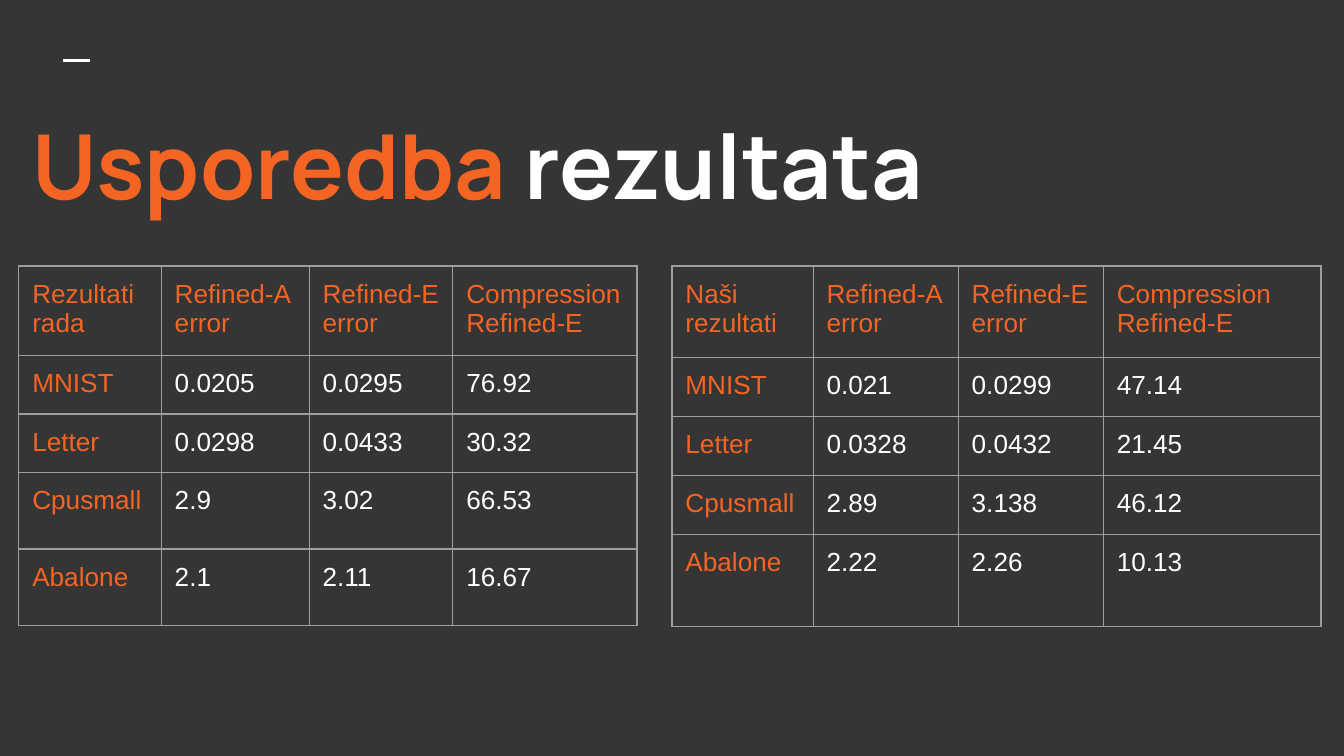
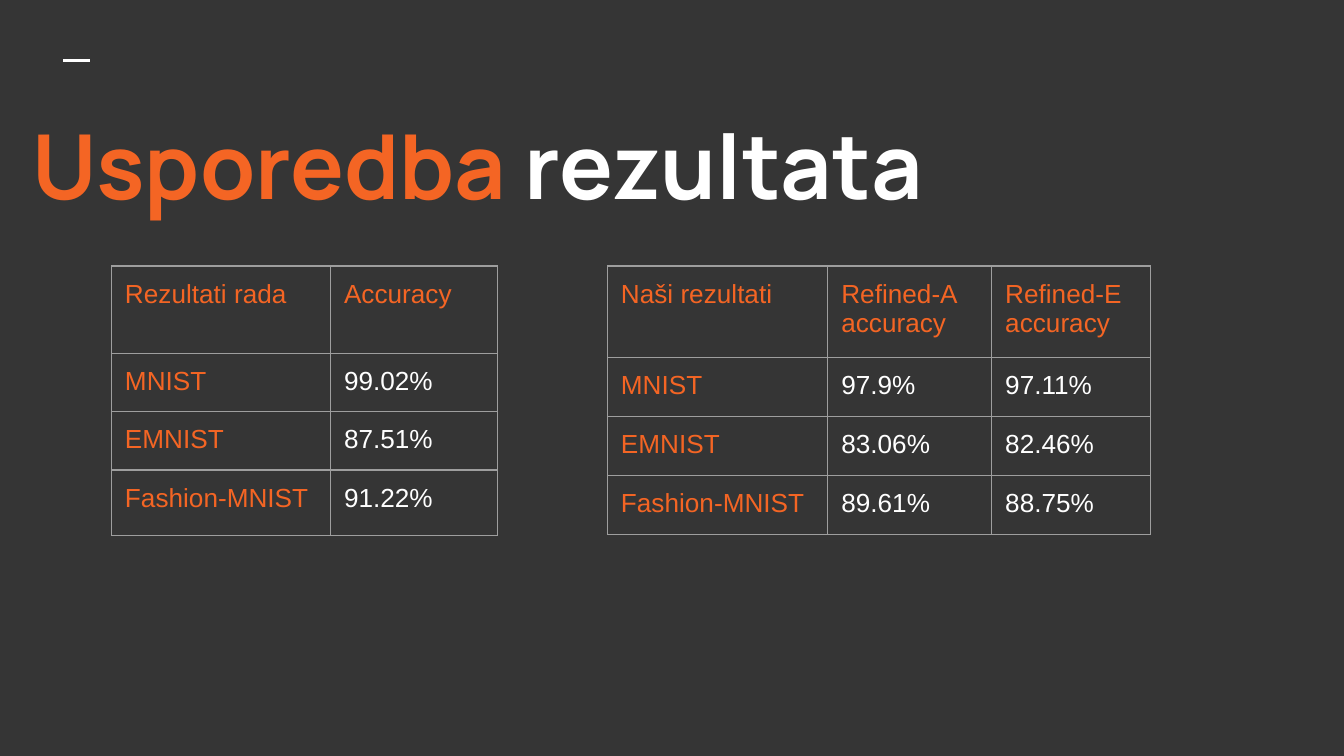
from dataclasses import dataclass

from lxml.etree import SubElement
from pptx import Presentation
from pptx.dml.color import RGBColor
from pptx.enum.shapes import MSO_CONNECTOR
from pptx.oxml.ns import qn
from pptx.util import Inches, Pt


@dataclass(frozen=True)
class Theme:
    back: str = "353535"
    accent: str = "F46524"
    text: str = "FFFFFF"
    grid: str = "9E9E9E"
    head: str = "Manrope"
    body: str = "Arial"
    big: float = 48
    small: float = 14
    rule: float = 1.5
    edge: float = 0.75
    pad: float = 0.1


THEME = Theme()
TOP = 1.98  # shared top of all tables
FRAME = 3.28  # shared frame side of all tables


def color(code):
    return RGBColor.from_string(code)


def style(run, font, size, code, bold=False):
    run.font.name = font
    run.font.size = Pt(size)
    run.font.bold = bold
    run.font.color.rgb = color(code)


def set_pad(box):
    box.margin_left = box.margin_right = Inches(THEME.pad)
    box.margin_top = box.margin_bottom = Inches(THEME.pad)


# Short rule above the title
def add_rule(slide):
    line = slide.shapes.add_connector(
        MSO_CONNECTOR.STRAIGHT,
        Inches(0.47), Inches(0.45), Inches(0.67), Inches(0.45))
    line.line.color.rgb = color(THEME.text)
    line.line.width = Pt(THEME.rule)
    SubElement(line._element.spPr, qn("a:effectLst"))


# Title in two colours
def add_title(slide, first, rest):
    box = slide.shapes.add_textbox(
        Inches(0.14), Inches(0.72), Inches(9.44), Inches(4.19))
    frame = box.text_frame
    frame.word_wrap = True
    set_pad(frame)
    for text, code in ((first + " ", THEME.accent), (rest, THEME.text)):
        run = frame.paragraphs[0].add_run()
        run.text = text
        style(run, THEME.head, THEME.big, code, bold=True)


def add_edges(cell):
    props = cell._tc.get_or_add_tcPr()
    for side in ("lnL", "lnR", "lnT", "lnB"):
        edge = SubElement(props, qn("a:" + side), w=str(Pt(THEME.edge)))
        fill = SubElement(edge, qn("a:solidFill"))
        SubElement(fill, qn("a:srgbClr"), val=THEME.grid)


def fill_cell(cell, text, code):
    set_pad(cell)
    add_edges(cell)
    cell.fill.background()
    cell.text_frame.text = text
    style(cell.text_frame.paragraphs[0].runs[0],
          THEME.body, THEME.small, code)


# Table with accented first row and first column
def add_grid(slide, left, widths, heights, data):
    frame = slide.shapes.add_table(
        len(heights), len(widths), Inches(left), Inches(TOP),
        Inches(FRAME), Inches(FRAME))
    table = frame.table
    table.first_row = table.horz_banding = False
    for col, width in zip(table.columns, widths):
        col.width = Inches(width)
    for row, height in zip(table.rows, heights):
        row.height = Inches(height)
    # Row and column changes resize the frame, so set it again
    frame.width = frame.height = Inches(FRAME)
    for i, line in enumerate(data):
        for j, text in enumerate(line):
            label = i == 0 or j == 0
            fill_cell(table.cell(i, j), text,
                      THEME.accent if label else THEME.text)


def add_slide(deck):
    slide = deck.slides.add_slide(deck.slide_layouts[6])
    slide.background.fill.solid()
    slide.background.fill.fore_color.rgb = color(THEME.back)
    add_rule(slide)
    add_title(slide, "Usporedba", "rezultata")
    return slide


# Errors and compression
def add_errors(deck):
    slide = add_slide(deck)
    heads = ["Refined-A error", "Refined-E error", "Compression Refined-E"]
    add_grid(slide, 0.14, [1.06, 1.1, 1.07, 1.37],
             [0.65, 0.42, 0.42, 0.57, 0.57], [
                 ["Rezultati rada"] + heads,
                 ["MNIST", "0.0205", "0.0295", "76.92"],
                 ["Letter", "0.0298", "0.0433", "30.32"],
                 ["Cpusmall", "2.9", "3.02", "66.53"],
                 ["Abalone", "2.1", "2.11", "16.67"]])
    add_grid(slide, 5, [1.05, 1.08, 1.08, 1.62],
             [0.68, 0.44, 0.44, 0.44, 0.68], [
                 ["Naši rezultati"] + heads,
                 ["MNIST", "0.021", "0.0299", "47.14"],
                 ["Letter", "0.0328", "0.0432", "21.45"],
                 ["Cpusmall", "2.89", "3.138", "46.12"],
                 ["Abalone", "2.22", "2.26", "10.13"]])


# Accuracy
def add_scores(deck):
    slide = add_slide(deck)
    add_grid(slide, 0.83, [1.63, 1.24], [0.65, 0.42, 0.42, 0.49], [
        ["Rezultati rada", "Accuracy"],
        ["MNIST", "99.02%"],
        ["EMNIST", "87.51%"],
        ["Fashion-MNIST", "91.22%"]])
    add_grid(slide, 4.52, [1.64, 1.22, 1.18], [0.68, 0.44, 0.44, 0.44], [
        ["Naši rezultati", "Refined-A accuracy", "Refined-E accuracy"],
        ["MNIST", "97.9%", "97.11%"],
        ["EMNIST", "83.06%", "82.46%"],
        ["Fashion-MNIST", "89.61%", "88.75%"]])


def main():
    deck = Presentation()
    deck.slide_width = Inches(10)
    deck.slide_height = deck.slide_width * 9 // 16
    add_errors(deck)
    add_scores(deck)
    deck.save("out.pptx")


if __name__ == "__main__":
    main()
